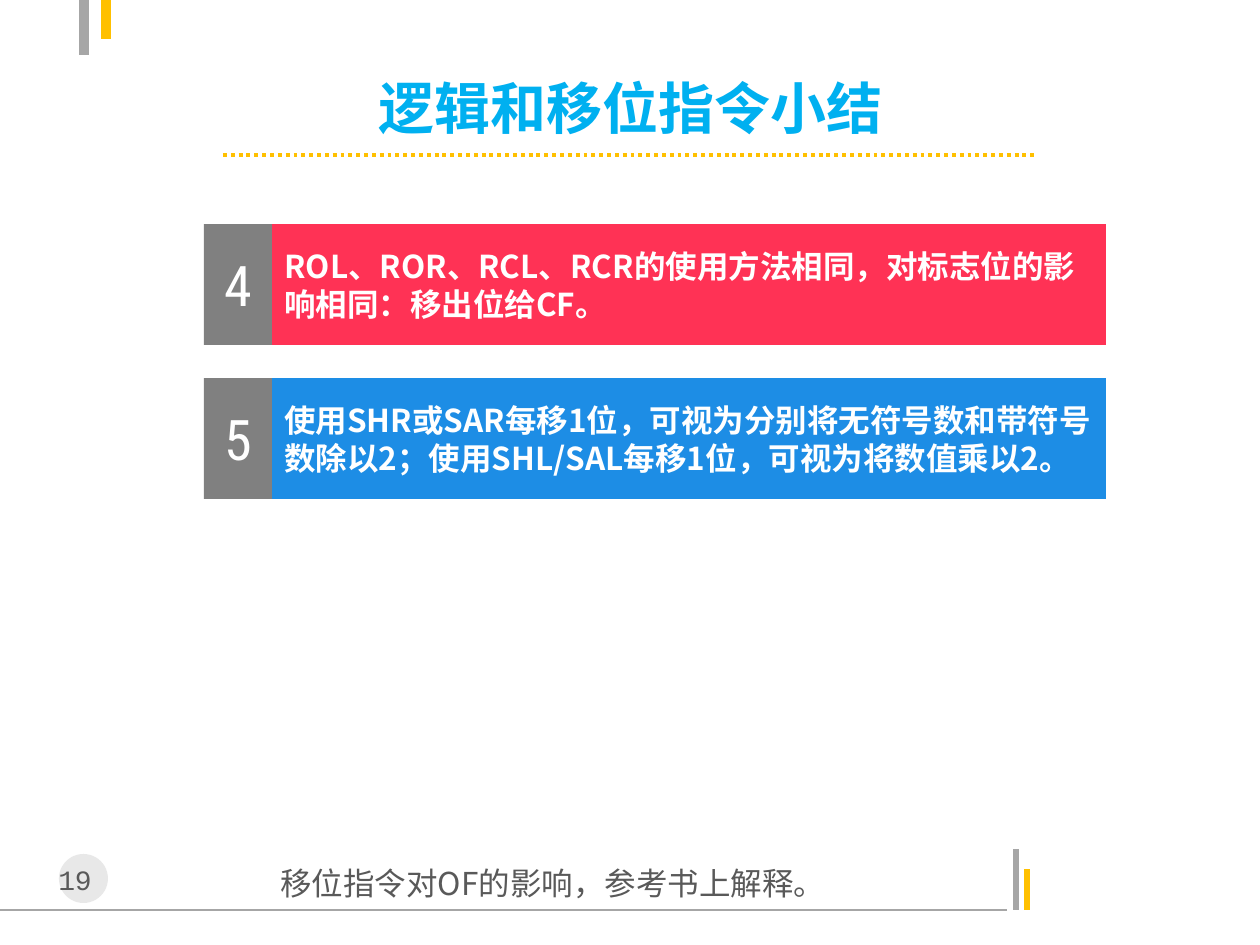
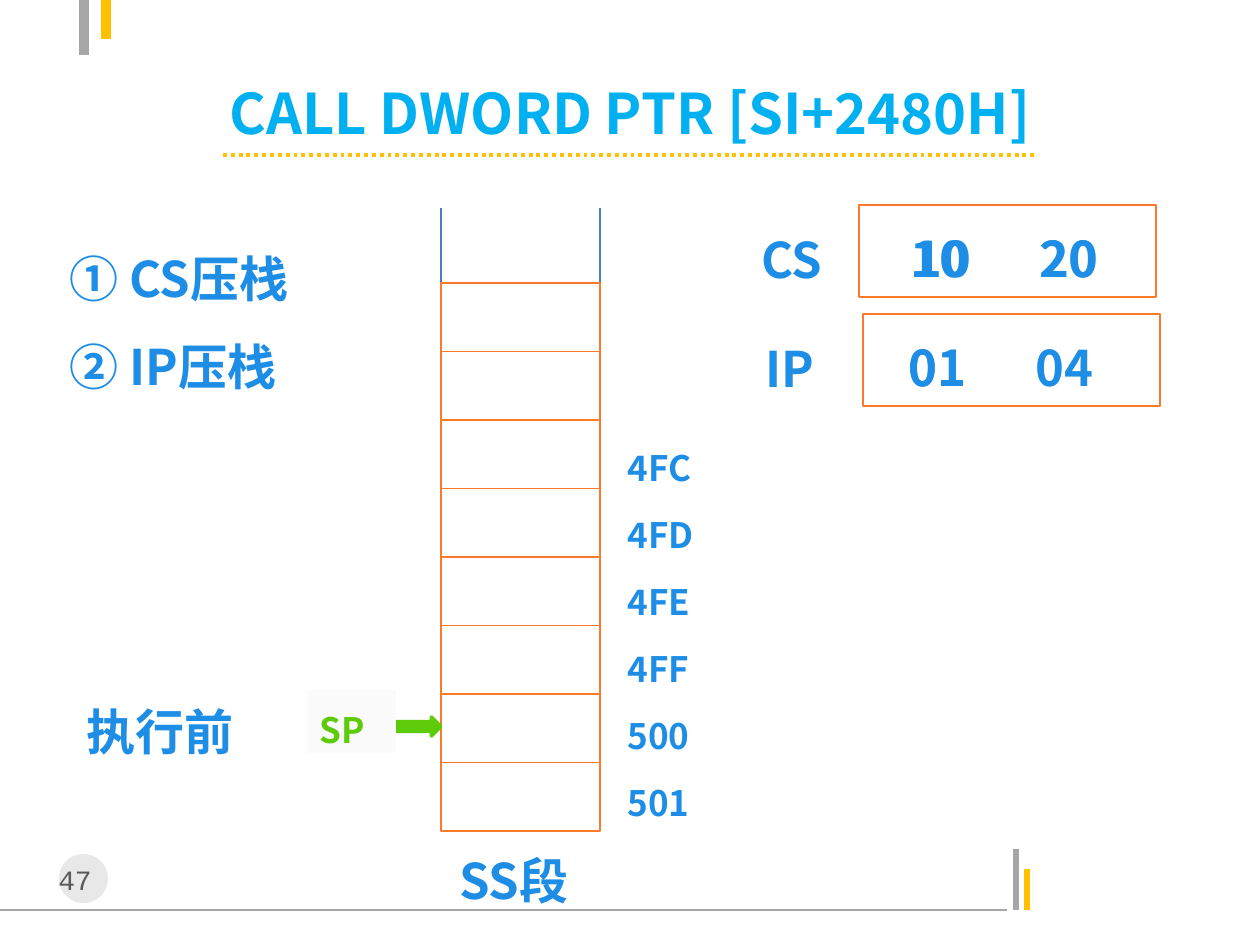
from lxml.etree import SubElement
from pptx import Presentation
from pptx.dml.color import RGBColor
from pptx.enum.dml import MSO_LINE
from pptx.enum.shapes import MSO_CONNECTOR, MSO_SHAPE
from pptx.enum.text import MSO_ANCHOR, PP_ALIGN
from pptx.oxml.ns import qn
from pptx.util import Emu, Pt

PX_PER_INCH = 126
SANS, CONDENSED, MONO = "Noto Sans CJK SC", "Roboto Condensed", "Courier New"

WHITE = RGBColor(0xFF, 0xFF, 0xFF)
PALE = RGBColor(0xFB, 0xFB, 0xFB)
SILVER = RGBColor(0xBF, 0xBF, 0xBF)
LIGHT_GRAY = RGBColor(0xA6, 0xA6, 0xA6)
GRAY = RGBColor(0x80, 0x80, 0x80)
DARK_GRAY = RGBColor(0x59, 0x59, 0x59)
GOLD = RGBColor(0xFF, 0xC0, 0x00)
SKY = RGBColor(0x00, 0xB0, 0xF0)
BLUE = RGBColor(0x1D, 0x8D, 0xE5)
STEEL = RGBColor(0x4B, 0x7E, 0xBC)
RED = RGBColor(0xFF, 0x32, 0x55)
ORANGE = RGBColor(0xFD, 0x7A, 0x2A)
GREEN = RGBColor(0x5D, 0xCB, 0x08)


def px(length):
    return Emu(round(length * 914400 / PX_PER_INCH))


def write(shape, text, *, size, color, font=SANS, bold=False, align=PP_ALIGN.LEFT,
          anchor=MSO_ANCHOR.TOP, spacing=1.0, wrap=True):
    frame = shape.text_frame
    frame.word_wrap = wrap
    frame.vertical_anchor = anchor
    paragraph = frame.paragraphs[0]
    paragraph.alignment = align
    paragraph.line_spacing = spacing
    run = paragraph.add_run()
    run.text = text
    run.font.name, run.font.size, run.font.bold = font, Pt(size), bold
    run.font.color.rgb = color
    SubElement(run.font._element, qn("a:ea")).set("typeface", font)


def add_text(slide, box, text, **style):
    write(slide.shapes.add_textbox(*map(px, box)), text, **style)


def add_label(slide, box, text, size=28):
    add_text(slide, box, text, size=size, color=BLUE, bold=True, spacing=1.3)


def add_block(slide, box, fill, *, kind=MSO_SHAPE.RECTANGLE, line=None, weight=0.75):
    block = slide.shapes.add_shape(kind, *map(px, box))
    block.shadow.inherit = False
    block.fill.solid()
    block.fill.fore_color.rgb = fill
    if line is None:
        block.line.fill.background()
    else:
        block.line.color.rgb = line
        block.line.width = Pt(weight)
    return block


def add_line(slide, start, end, color, weight, dash=None):
    line = slide.shapes.add_connector(MSO_CONNECTOR.STRAIGHT, *map(px, (*start, *end)))
    line.line.color.rgb = color
    line.line.width = Pt(weight)
    if dash is not None:
        line.line.dash_style = dash
    SubElement(line._element.spPr, qn("a:effectLst"))


def add_frame(slide, number):
    """Draw the corner bars, the footer rule and the page number."""
    add_line(slide, (0, 910), (1007, 910), LIGHT_GRAY, 0.75)
    add_line(slide, (1016, 910), (1016, 849), LIGHT_GRAY, 3)
    add_line(slide, (1027, 910), (1027, 869), GOLD, 3)
    add_line(slide, (84, 0), (84, 55), LIGHT_GRAY, 6)
    add_line(slide, (106, 0), (106, 39), GOLD, 6)
    badge = add_block(slide, (59, 854, 49, 49), SILVER, kind=MSO_SHAPE.OVAL)
    tint = badge._element.spPr.find(qn("a:solidFill"))[0]
    SubElement(tint, qn("a:alpha")).set("val", "35000")
    add_text(slide, (39, 856, 89, 47), f"{number} ", size=16, color=DARK_GRAY,
             font=MONO, align=PP_ALIGN.CENTER)


def add_title(slide, title, spacing):
    add_line(slide, (223, 155), (1037, 155), GOLD, 2.25, MSO_LINE.ROUND_DOT)
    add_text(slide, (174, 76, 913, 63), title, size=32, color=SKY, bold=True,
             align=PP_ALIGN.CENTER, anchor=MSO_ANCHOR.MIDDLE, spacing=spacing, wrap=False)


def new_slide(deck, number, title, title_spacing=1.0):
    slide = deck.slides.add_slide(deck.slide_layouts[6])
    add_frame(slide, number)
    add_title(slide, title, title_spacing)
    return slide


def add_summary_card(slide, box, number, summary, fill):
    left, top, width, height = box
    number_width = 68
    body = add_block(slide, (left + number_width, top, width - number_width, height), fill)
    write(body, summary, size=18, color=WHITE, bold=True, anchor=MSO_ANCHOR.MIDDLE)
    tab = add_block(slide, (left, top, number_width, height), GRAY)
    write(tab, number, size=32, color=WHITE, font=CONDENSED,
          align=PP_ALIGN.CENTER, anchor=MSO_ANCHOR.MIDDLE)


def add_stack(slide, box, cell_count, open_height):
    """Draw the memory stack, open at the top, with equal cells below."""
    left, top, width, height = box
    for rail in (left, left + width):
        add_line(slide, (rail, top), (rail, top + height), STEEL, 0.75)
    pitch = (height - open_height) / cell_count
    for cell in reversed(range(cell_count)):
        add_block(slide, (left, top + open_height + cell * pitch, width, pitch),
                  WHITE, line=ORANGE)


def add_addresses(slide, left, top, addresses):
    for row, address in enumerate(addresses):
        add_label(slide, (left, top + row * 67, 116, 63), address, size=20)


def add_stack_pointer(slide, left, top):
    add_block(slide, (left + 86, top + 27, 48, 19), GREEN,
              kind=MSO_SHAPE.RIGHT_ARROW, line=GREEN, weight=2)
    pointer = add_block(slide, (left, top, 89, 63), PALE)
    write(pointer, "SP", size=20, color=GREEN, bold=True, spacing=1.3)


def add_register(slide, left, top, name, digits):
    """Draw a named register; digits pairs each value with its offset from the left."""
    add_block(slide, (left, top, 297, 92), WHITE, line=ORANGE)
    add_label(slide, (left - 110, top + 1, 110, 82), name)
    for value, offset in digits:
        add_label(slide, (left + offset, top, 110, 82), value)


def build_shift_summary(deck):
    slide = new_slide(deck, 19, "逻辑和移位指令小结")
    cards = (
        ("4", "ROL、ROR、RCL、RCR的使用方法相同，对标志位的影响相同：移出位给CF。", RED),
        ("5", "使用SHR或SAR每移1位，可视为分别将无符号数和带符号数除以2；"
              "使用SHL/SAL每移1位，可视为将数值乘以2。", BLUE),
    )
    for row, card in enumerate(cards):
        add_summary_card(slide, (204, 224 + row * 154, 902, 121), *card)
    add_text(slide, (268, 850, 684, 54), "移位指令对OF的影响，参考书上解释。",
             size=18, color=DARK_GRAY, spacing=1.2)


def build_far_call(deck):
    slide = new_slide(deck, 47, "CALL DWORD PTR [SI+2480H]", title_spacing=1.14)
    add_stack(slide, (441, 208, 159, 623), cell_count=8, open_height=75)
    add_addresses(slide, 615, 428, ("4FC", "4FD", "4FE", "4FF", "500", "501"))
    add_stack_pointer(slide, 307, 690)
    add_register(slide, 859, 205, "CS", (("10", 39), ("10", 42), ("20", 168), ("20", 169)))
    add_register(slide, 863, 314, "IP", (("01", 33), ("01", 33), ("04", 160)))
    for row, step in enumerate(("① CS压栈", "② IP压栈")):
        add_label(slide, (57, 225 + row * 88, 287, 89), step)
    add_label(slide, (74, 678, 287, 82), "执行前")
    add_label(slide, (447, 827, 159, 89), "SS段")


def main():
    deck = Presentation()
    deck.slide_width, deck.slide_height = px(1260), px(945)
    build_shift_summary(deck)
    build_far_call(deck)
    deck.save("out.pptx")


if __name__ == "__main__":
    main()
